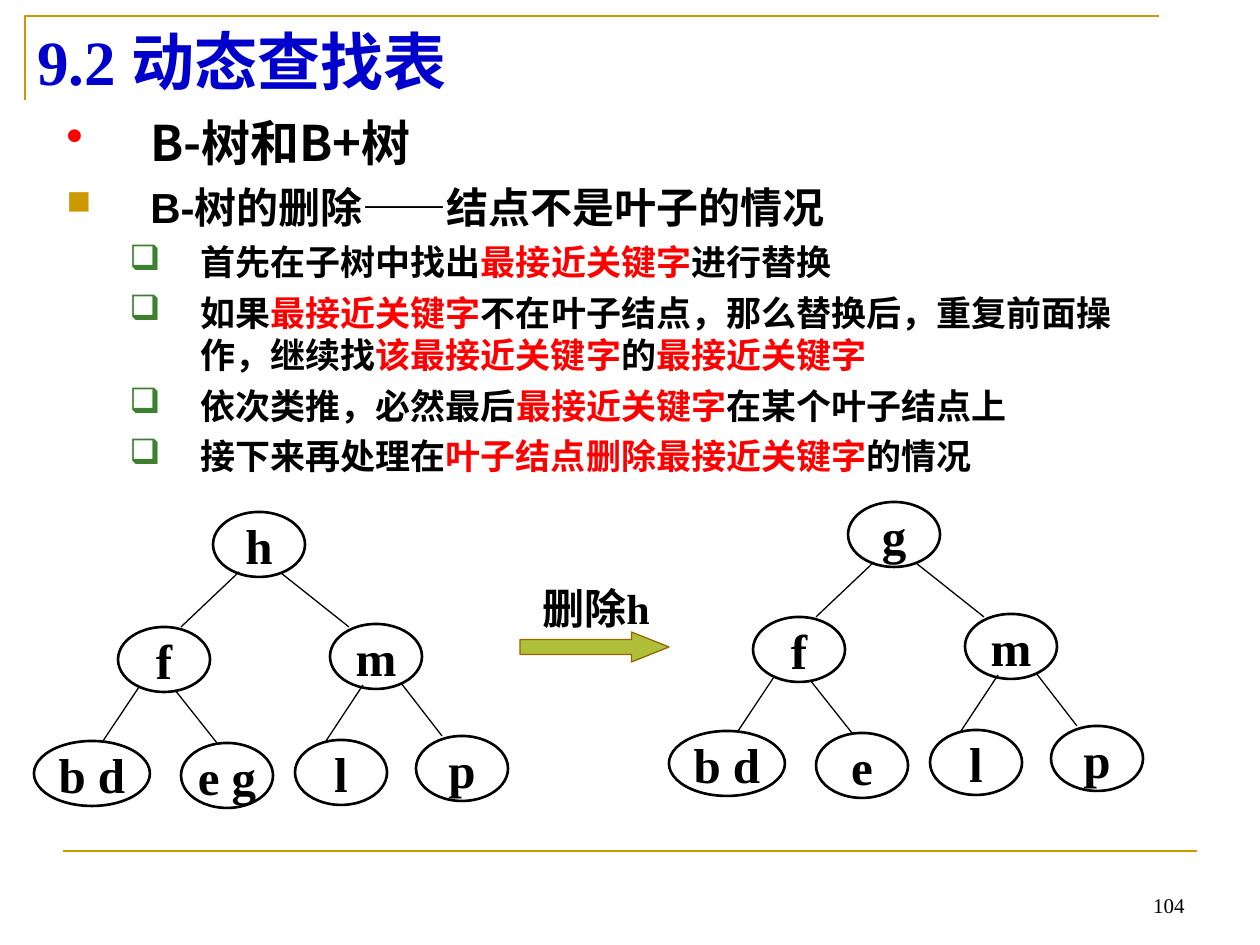
from lxml import etree
from pptx import Presentation
from pptx import util as u
from pptx.dml.color import RGBColor
from pptx.enum import shapes, text
from pptx.oxml import ns

BLACK = RGBColor(0x00, 0x00, 0x00)
RED = RGBColor(0xFF, 0x00, 0x00)
BLUE = RGBColor(0x00, 0x00, 0xCC)
GOLD = RGBColor(0xCC, 0x99, 0x00)
GREEN = RGBColor(0x3B, 0x81, 0x2F)
OLIVE = RGBColor(0xAF, 0xBF, 0x39)
BROWN = RGBColor(0x99, 0x66, 0x00)
SERIF, SANS, CHINESE = "Times New Roman", "Arial", "Noto Sans CJK SC"
SCALE = 914400 / 126
NODE_WIDTH, NODE_HEIGHT = 92, 65
LINE_HEIGHT = 1.2

NODE_PLACES = [
    (213, 512, NODE_WIDTH),
    (118, 627, NODE_WIDTH),
    (330, 624, NODE_WIDTH),
    (34, 741, 116),
    (181, 743, NODE_WIDTH),
    (295, 740, NODE_WIDTH),
    (416, 736, NODE_WIDTH),
]
EDGES = [
    (239, 572, 181, 627),
    (281, 573, 349, 627),
    (139, 687, 103, 741),
    (175, 690, 217, 743),
    (363, 685, 326, 741),
    (401, 683, 442, 736),
]
STEPS = [
    [("首先在子树中找出", BLACK), ("最接近关键字", RED), ("进行替换", BLACK)],
    [
        ("如果", BLACK),
        ("最接近关键字", RED),
        ("不在叶子结点，那么替换后，重复前面操作，继续找", BLACK),
        ("该最接近关键字", RED),
        ("的", BLACK),
        ("最接近关键字", RED),
    ],
    [("依次类推，必然最后", BLACK), ("最接近关键字", RED), ("在某个叶子结点上", BLACK)],
    [("接下来再处理在", BLACK), ("叶子结点删除最接近关键字", RED), ("的情况", BLACK)],
]


def px(length):
    return u.Emu(round(length * SCALE))


def add_run(paragraph, content, size=20, font=SERIF, color=BLACK, bold=True):
    run = paragraph.add_run()
    run.text = content
    run.font.size = u.Pt(size)
    run.font.bold = bold
    run.font.name = font
    run.font.color.rgb = color
    east_asian = etree.SubElement(run.font._element, ns.qn("a:ea"))
    east_asian.set("typeface", CHINESE)


def add_bullet(paragraph, character, color, margin, hanging, percent=100):
    properties = paragraph._p.get_or_add_pPr()
    properties.set("marL", str(px(margin)))
    properties.set("indent", str(-px(hanging)))
    properties.set("hangingPunct", "0")
    bullet_color = etree.SubElement(properties, ns.qn("a:buClr"))
    etree.SubElement(bullet_color, ns.qn("a:srgbClr")).set("val", str(color))
    etree.SubElement(properties, ns.qn("a:buSzPct")).set("val", str(percent * 1000))
    etree.SubElement(properties, ns.qn("a:buChar")).set("char", character)


class SlideBuilder:
    """Draws styled elements on one slide, with lengths in px."""

    def __init__(self, slide):
        self.slide = slide

    def text_box(self, left, top, width, height, anchor=text.MSO_ANCHOR.TOP):
        box = self.slide.shapes.add_textbox(px(left), px(top), px(width), px(height))
        frame = box.text_frame
        frame.word_wrap = True
        frame.vertical_anchor = anchor
        return frame

    def line(self, x1, y1, x2, y2, color=BLACK, width=0.75):
        connector = self.slide.shapes.add_connector(
            shapes.MSO_CONNECTOR.STRAIGHT, px(x1), px(y1), px(x2), px(y2))
        connector.line.color.rgb = color
        connector.line.width = u.Pt(width)
        etree.SubElement(connector._element.spPr, ns.qn("a:effectLst"))

    def corner(self, points):
        builder = self.slide.shapes.build_freeform(*points[0], scale=SCALE)
        builder.add_line_segments(points[1:], close=False)
        shape = builder.convert_to_shape()
        self.outline(shape, GOLD, 1.5)

    def outline(self, shape, color, width, fill=None):
        shape.shadow.inherit = False
        shape.line.color.rgb = color
        shape.line.width = u.Pt(width)
        if fill is None:
            shape.fill.background()
        else:
            shape.fill.solid()
            shape.fill.fore_color.rgb = fill

    def node(self, left, top, width, label):
        shape = self.slide.shapes.add_shape(
            shapes.MSO_SHAPE.OVAL, px(left), px(top), px(width), px(NODE_HEIGHT))
        self.outline(shape, BLACK, 1.5)
        frame = shape.text_frame
        frame.word_wrap = False
        frame.vertical_anchor = text.MSO_ANCHOR.MIDDLE
        paragraph = frame.paragraphs[0]
        paragraph.alignment = text.PP_ALIGN.CENTER
        add_run(paragraph, label, size=28)

    def tree(self, labels, dx=0, dy=0):
        for x1, y1, x2, y2 in EDGES:
            self.line(x1 + dx, y1 + dy, x2 + dx, y2 + dy)
        for (left, top, width), label in zip(NODE_PLACES, labels):
            self.node(left + dx, top + dy, width, label)

    def arrow(self, left, top, width, height):
        shape = self.slide.shapes.add_shape(
            shapes.MSO_SHAPE.RIGHT_ARROW, px(left), px(top), px(width), px(height))
        shape.adjustments[1] = 1.25
        self.outline(shape, BROWN, 0.75, fill=OLIVE)

    def title(self, content):
        frame = self.text_box(25, 16, 1134, 90)
        paragraph = frame.paragraphs[0]
        paragraph.line_spacing = u.Pt(36 * LINE_HEIGHT)
        add_run(paragraph, content, size=36, color=BLUE)

    def body(self):
        frame = self.text_box(54, 106, 1111, 714)
        heading = frame.paragraphs[0]
        add_bullet(heading, "•", RED, 84, 84)
        heading.line_spacing = u.Pt(28 * LINE_HEIGHT)
        add_run(heading, "B-树和B+树", size=28, font=CHINESE)
        topic = frame.add_paragraph()
        add_bullet(topic, "■", GOLD, 84, 84, percent=80)
        topic.line_spacing = u.Pt(24 * LINE_HEIGHT)
        topic.space_before = u.Pt(6)
        add_run(topic, "B-树的删除——结点不是叶子的情况", size=24, font=SANS)
        for step in STEPS:
            paragraph = frame.add_paragraph()
            paragraph.level = 1
            add_bullet(paragraph, "❑", GREEN, 134, 71)
            paragraph.line_spacing = u.Pt(20 * LINE_HEIGHT)
            paragraph.space_before = u.Pt(5)
            for content, color in step:
                add_run(paragraph, content, font=SANS, color=color)

    def caption(self, content):
        frame = self.text_box(530, 581, 150, 54, anchor=text.MSO_ANCHOR.MIDDLE)
        add_run(frame.paragraphs[0], content, size=24)

    def page_number(self, content):
        frame = self.text_box(903, 861, 294, 63, anchor=text.MSO_ANCHOR.BOTTOM)
        paragraph = frame.paragraphs[0]
        paragraph.alignment = text.PP_ALIGN.RIGHT
        add_run(paragraph, content, size=12, bold=False)


def main():
    presentation = Presentation()
    presentation.slide_width = px(1260)
    presentation.slide_height = px(945)
    builder = SlideBuilder(presentation.slides.add_slide(presentation.slide_layouts[6]))
    builder.corner([(25, 100), (25, 16), (1159, 16)])
    builder.line(63, 851, 1197, 851, color=GOLD, width=1.5)
    builder.page_number("104")
    builder.body()
    builder.title("9.2 动态查找表")
    builder.tree(["h", "f", "m", "b d", "e g", "l", "p"])
    builder.caption("删除h")
    builder.arrow(520, 632, 149, 30)
    builder.tree(["g", "f", "m", "b d", "e", "l", "p"], dx=635, dy=-10)
    presentation.save("out.pptx")


if __name__ == "__main__":
    main()
